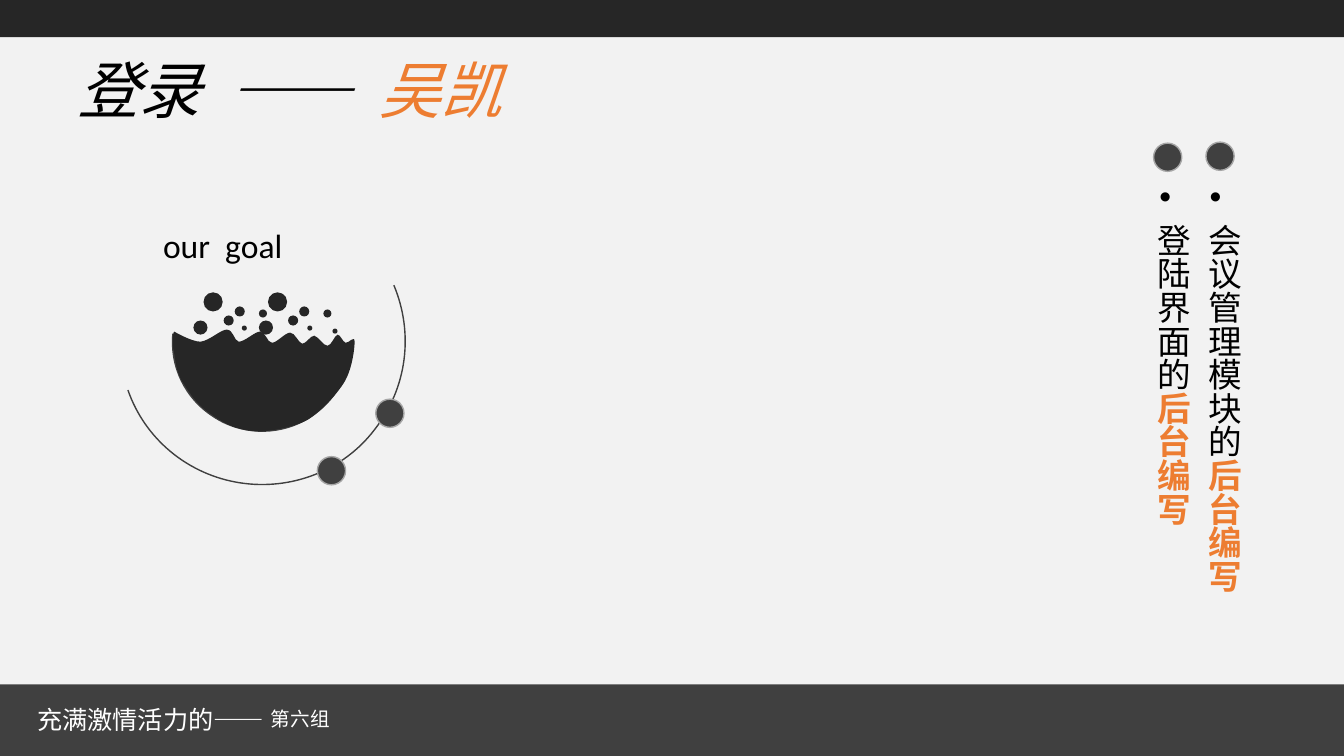
from dataclasses import dataclass

from lxml.etree import SubElement
from pptx import Presentation
from pptx.dml.color import RGBColor
from pptx.enum.shapes import MSO_SHAPE as Shape
from pptx.enum.text import MSO_ANCHOR as Anchor
from pptx.oxml.ns import qn
from pptx.util import Inches, Pt


@dataclass(frozen=True)
class Theme:
    paper: str = "F2F2F2"
    dark: str = "262626"
    gray: str = "404040"
    rim: str = "A6A6A6"
    ink: str = "000000"
    accent: str = "ED7D31"
    white: str = "FFFFFF"
    latin: str = "Calibri"
    asian: str = "Noto Sans CJK SC"
    title: int = 44
    body: int = 24
    footer: int = 18
    group: int = 14


class SlideBuilder:
    def __init__(self, page, theme):
        self.page = page
        self.theme = theme
        page.background.fill.solid()
        page.background.fill.fore_color.rgb = RGBColor.from_string(theme.paper)

    def paint(self, shape, fill=None, line=None, width=1):
        shape.shadow.inherit = False
        if fill:
            shape.fill.solid()
            shape.fill.fore_color.rgb = RGBColor.from_string(fill)
        else:
            shape.fill.background()
        if line:
            shape.line.color.rgb = RGBColor.from_string(line)
            shape.line.width = Pt(width)
        else:
            shape.line.fill.background()

    def shape(self, kind, left, top, width, height, **style):
        lengths = map(Inches, (left, top, width, height))
        self.paint(self.page.shapes.add_shape(kind, *lengths), **style)

    def circle(self, left, top, size, **style):
        self.shape(Shape.OVAL, left, top, size, size, **style)

    def curve(self, points, close=False, **style):
        start, *controls = [(Inches(x), Inches(y)) for x, y in points]
        builder = self.page.shapes.build_freeform(*start, scale=1.0)
        builder.add_line_segments(controls, close=close)
        shape = builder.convert_to_shape()
        track = next(shape._element.iter(qn("a:path")))
        lines = track.findall(qn("a:lnTo"))
        for index in range(0, len(lines), 3):
            bend = SubElement(track, qn("a:cubicBezTo"))
            lines[index].addprevious(bend)
            for line in lines[index:index + 3]:
                bend.append(line[0])
                track.remove(line)
        self.paint(shape, **style)

    def text(self, area, paragraphs, size, name, margins=(0.1, 0.05),
             vertical=False, bullet=False, spacing=1.0, anchor=Anchor.TOP):
        box = self.page.shapes.add_textbox(*map(Inches, area))
        frame = box.text_frame
        across, down = map(Inches, margins)
        options = {"word_wrap": True, "vertical_anchor": anchor,
                   "margin_left": across, "margin_right": across,
                   "margin_top": down, "margin_bottom": down}
        for key, value in options.items():
            setattr(frame, key, value)
        if vertical:
            frame._txBody.bodyPr.set("vert", "eaVert")
        for index, spans in enumerate(paragraphs):
            para = frame.add_paragraph() if index else frame.paragraphs[0]
            if bullet:
                self.bullet(para)
            para.line_spacing = spacing
            if index:
                para.space_before = Pt(10)
            for words, color, style in spans:
                self.span(para, words, color, {"size": Pt(size), "name": name, **style})

    def bullet(self, para):
        props = para._p.get_or_add_pPr()
        props.set("marL", str(Inches(0.25)))
        props.set("indent", str(Inches(-0.25)))
        tint = SubElement(props, qn("a:buClr"))
        SubElement(tint, qn("a:srgbClr")).set("val", self.theme.ink)
        SubElement(props, qn("a:buFont")).set("typeface", "Arial")
        SubElement(props, qn("a:buChar")).set("char", "•")

    def span(self, para, words, color, style):
        span = para.add_run()
        span.text = words
        for key, value in style.items():
            setattr(span.font, key, value)
        span.font.color.rgb = RGBColor.from_string(color)
        SubElement(span._r.get_or_add_rPr(), qn("a:ea")).set("typeface", self.theme.asian)


WAVE_BOWL = [
    (1.73, 3.29),
    (1.73, 3.29), (1.9, 3.39), (1.99, 3.39), (2.08, 3.38), (2.19, 3.27), (2.25, 3.27),
    (2.32, 3.27), (2.32, 3.38), (2.37, 3.39), (2.43, 3.39), (2.53, 3.29), (2.58, 3.29),
    (2.64, 3.29), (2.65, 3.4), (2.7, 3.4), (2.75, 3.4), (2.83, 3.3), (2.88, 3.3),
    (2.93, 3.3), (2.96, 3.4), (3, 3.41), (3.04, 3.41), (3.08, 3.33), (3.12, 3.33),
    (3.16, 3.34), (3.21, 3.43), (3.25, 3.43), (3.29, 3.43), (3.32, 3.33), (3.35, 3.32),
    (3.38, 3.32), (3.4, 3.39), (3.43, 3.4), (3.46, 3.41), (3.52, 3.32), (3.52, 3.39),
    (3.52, 3.45), (3.5, 3.64), (3.43, 3.77), (3.36, 3.9), (3.19, 4.07), (3.09, 4.14),
    (2.99, 4.22), (2.72, 4.28), (2.56, 4.28), (2.4, 4.27), (2.28, 4.24), (2.11, 4.12),
    (1.94, 4.01), (1.87, 3.88), (1.8, 3.77), (1.74, 3.66), (1.74, 3.54), (1.72, 3.46),
    (1.71, 3.38), (1.72, 3.28), (1.73, 3.29),
]
BOWL_RIM = [
    (3.49, 3.39), (3.49, 3.71), (3.31, 4.01), (3.02, 4.17), (2.74, 4.32),
    (2.39, 4.31), (2.12, 4.13), (1.84, 3.95), (1.69, 3.64), (1.72, 3.31),
]
ORBIT = [
    (3.91, 2.83), (4.11, 3.31), (4.04, 3.85), (3.72, 4.26), (3.41, 4.67),
    (2.89, 4.87), (2.38, 4.79), (1.87, 4.71), (1.44, 4.36), (1.27, 3.87),
]
BUBBLES = [
    (2.02, 2.9, 0.19), (2.33, 3.04, 0.1), (2.22, 3.13, 0.1), (2.4, 3.23, 0.05),
    (2.57, 3.07, 0.08), (1.92, 3.18, 0.14), (2.66, 2.9, 0.19), (2.97, 3.04, 0.1),
    (2.86, 3.13, 0.1), (3.3, 3.26, 0.05), (3.05, 3.23, 0.05), (3.21, 3.07, 0.08),
    (2.57, 3.18, 0.14),
]
DOTS = [(11.97, 1.41), (11.45, 1.42), (3.73, 3.96), (3.15, 4.53)]
TASKS = ["会议管理模块的", "登陆界面的"]


def main():
    deck = Presentation()
    deck.slide_width, deck.slide_height = Inches(13.34), Inches(7.5)
    theme = Theme()
    slide = SlideBuilder(deck.slides.add_slide(deck.slide_layouts[6]), theme)

    slide.shape(Shape.RECTANGLE, 0, 6.79, 13.34, 0.71, fill=theme.gray)
    slide.shape(Shape.RECTANGLE, 0, 0, 13.34, 0.37, fill=theme.dark)

    title = [("登录  ——  ", theme.ink, {"italic": True}),
             ("吴凯", theme.accent, {"italic": True})]
    slide.text((0.67, 0.3, 12, 1.25), [title], theme.title, theme.asian,
               spacing=0.9, anchor=Anchor.MIDDLE)
    tasks = [[(task, theme.ink, {}), ("后台编写", theme.accent, {"bold": True})]
             for task in TASKS]
    slide.text((7, 1.87, 5.35, 4.54), tasks, theme.body, theme.asian,
               margins=(0.05, 0.1), vertical=True, bullet=True, spacing=0.9)
    slide.text((0.27, 6.94, 2.63, 0.4), [[("充满激情活力的——", theme.white, {})]],
               theme.footer, theme.latin)
    slide.text((2.59, 6.96, 1.82, 0.34), [[("第六组", theme.white, {})]],
               theme.group, theme.asian)

    slide.curve(BOWL_RIM, line=theme.gray, width=1.5)
    slide.curve(WAVE_BOWL, close=True, fill=theme.dark)
    for bubble in BUBBLES:
        slide.circle(*bubble, fill=theme.dark)
    slide.curve(ORBIT, line=theme.gray)
    for left, top in DOTS:
        slide.circle(left, top, 0.28, fill=theme.gray, line=theme.rim)
    slide.text((1.52, 2.18, 1.83, 0.5), [[("our  goal", theme.ink, {})]],
               theme.body, theme.latin)

    deck.save("out.pptx")


if __name__ == "__main__":
    main()
